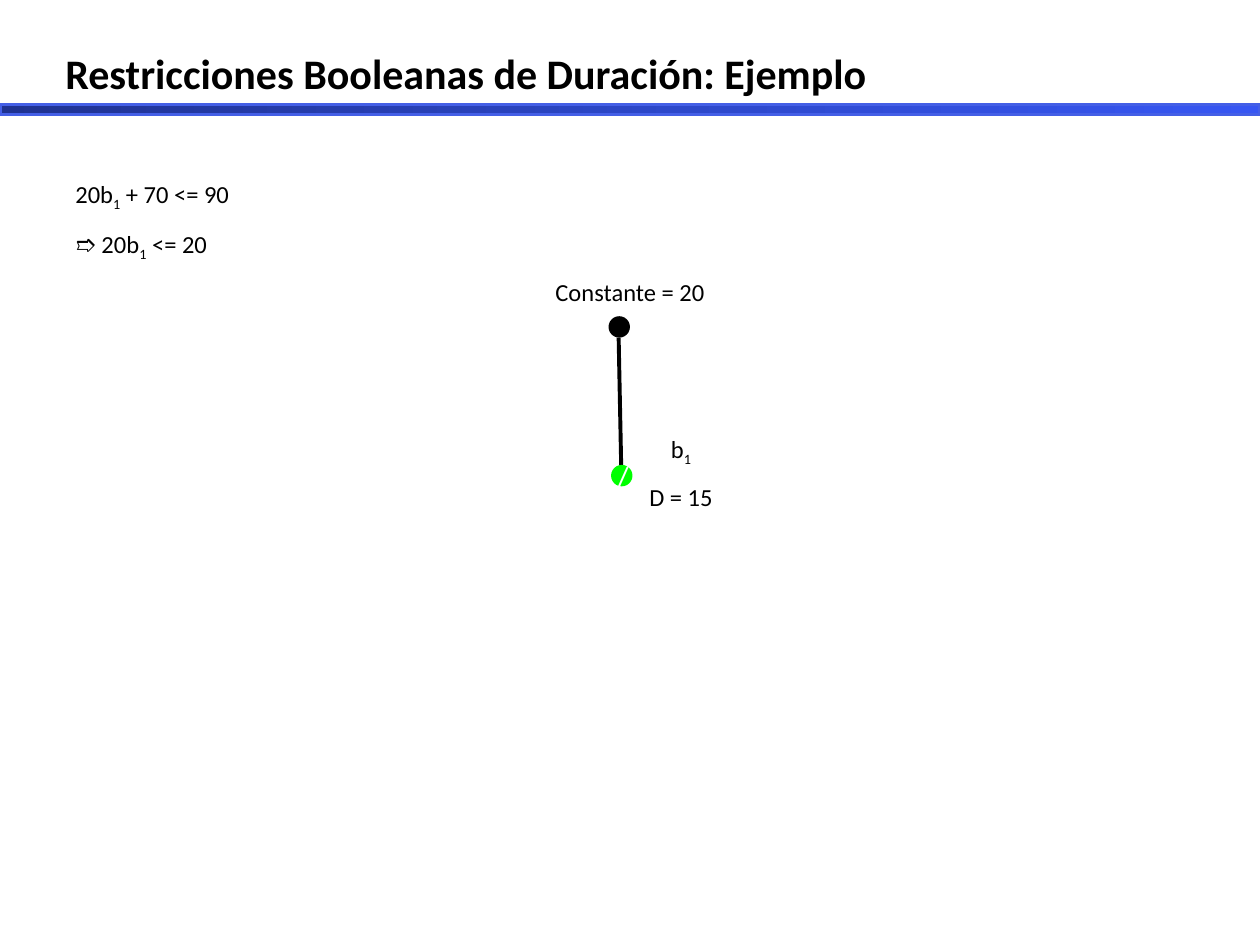
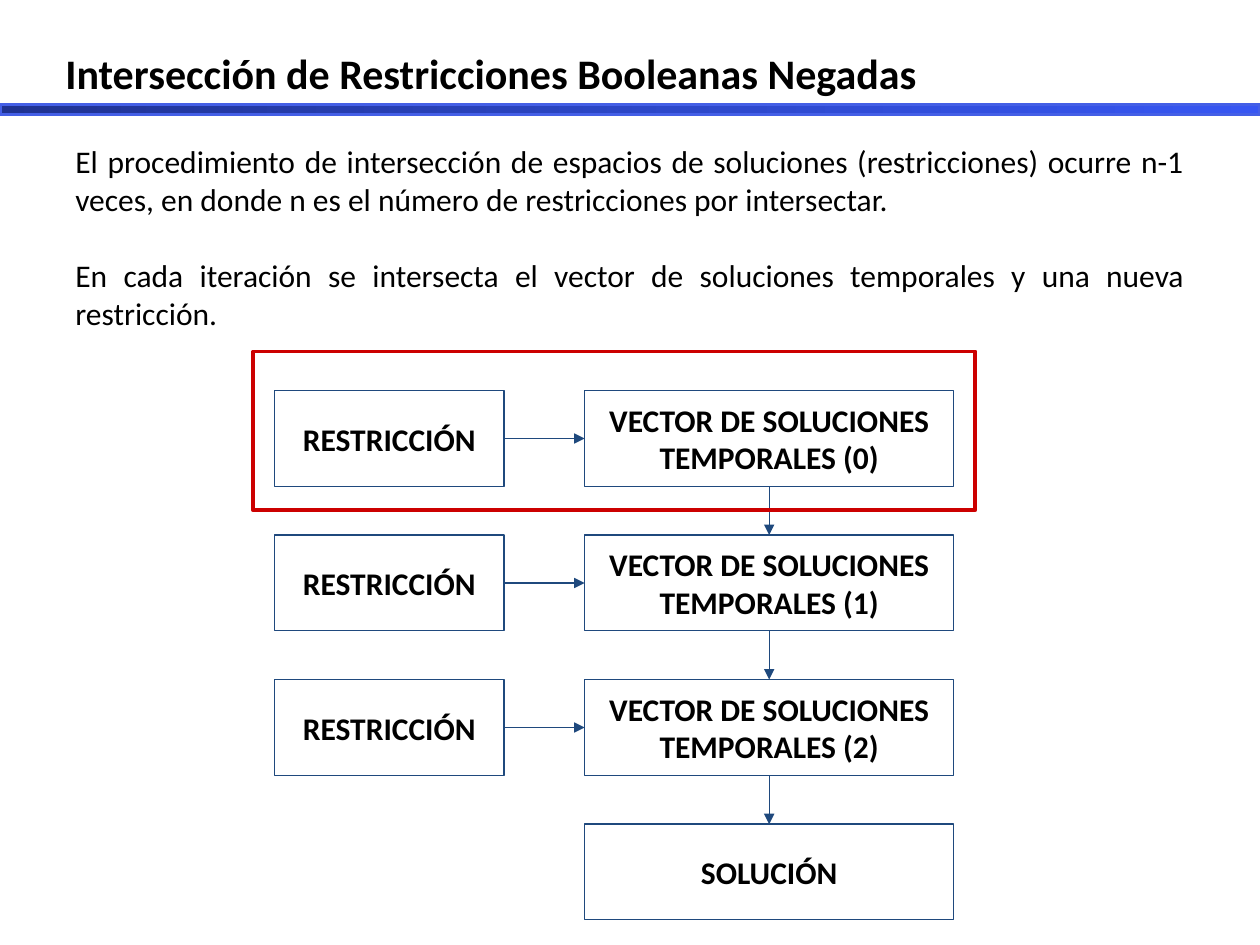
from copy import deepcopy
from dataclasses import dataclass

from lxml.etree import SubElement
from pptx import Presentation
from pptx.dml.color import RGBColor
from pptx.enum.shapes import MSO_CONNECTOR, MSO_SHAPE
from pptx.enum.text import MSO_ANCHOR, PP_ALIGN
from pptx.oxml.ns import qn
from pptx.util import Inches, Pt


@dataclass(frozen=True)
class Theme:
    font: str = "Calibri"
    ink: str = "000000"
    white: str = "FFFFFF"
    green: str = "00FF00"
    navy: str = "1F497D"
    red: str = "CC0000"
    band: tuple = ((0, "1F3291"), (0.54, "2D48CA"), (1, "3756F2"))
    band_edge: str = "445FE6"
    title: int = 24
    body: int = 18
    note: int = 14
    thin: float = 0.75
    medium: float = 2
    thick: float = 2.25


THEME = Theme()
WIDTH, HEIGHT = Inches(10), Inches(7.5)
COLUMNS = 100
CELL = WIDTH // COLUMNS
TOP, LEFT, BOTTOM, RIGHT = range(4)


def grid(*cells):
    return [round(n * CELL) for n in cells]


def rgb(value):
    return RGBColor.from_string(value)


def write(s, lines, size, align, bold=False, color=THEME.ink, spacing=None, gap=0):
    tf = s.text_frame
    tf.word_wrap = True
    for i, line in enumerate(lines):
        p = tf.paragraphs[0] if i == 0 else tf.add_paragraph()
        p.alignment = align
        p.line_spacing = spacing
        if i:
            p.space_before = Pt(gap)
        for j, part in enumerate(line.split("_")):
            r = p.add_run()
            r.text = part
            r.font.name = THEME.font
            r.font.size = Pt(size)
            r.font.bold = bold
            r.font.color.rgb = rgb(color)
            if j % 2:
                r.font._element.set("baseline", "-25000")
    return tf


def add_text(slide, at, lines, size, align, **style):
    return write(slide.shapes.add_textbox(*grid(*at)), lines, size, align, **style)


def add_shape(slide, kind, at, fill=None, line=None, weight=THEME.thin):
    s = slide.shapes.add_shape(kind, *grid(*at))
    s.shadow.inherit = False
    if fill:
        s.fill.solid()
        s.fill.fore_color.rgb = rgb(fill)
    else:
        s.fill.background()
    if line:
        s.line.color.rgb = rgb(line)
        s.line.width = Pt(weight)
    else:
        s.line.fill.background()
    return s


def add_line(slide, ends, color, weight):
    s = slide.shapes.add_connector(MSO_CONNECTOR.STRAIGHT, *grid(*ends))
    s.line.color.rgb = rgb(color)
    s.line.width = Pt(weight)
    SubElement(s._element.spPr, qn("a:effectLst"))
    return s


def add_arrow(slide, start, start_side, end, end_side):
    s = add_line(slide, (0, 0, 0, 0), THEME.navy, THEME.thin)
    s.begin_connect(start, start_side)
    s.end_connect(end, end_side)
    SubElement(s.line._get_or_add_ln(), qn("a:tailEnd"), type="triangle")


def add_box(slide, at, label):
    s = add_shape(slide, MSO_SHAPE.RECTANGLE, at, line=THEME.navy)
    tf = write(s, [label], THEME.body, PP_ALIGN.CENTER, bold=True)
    tf.vertical_anchor = MSO_ANCHOR.MIDDLE
    tf.margin_left = tf.margin_right = tf.margin_top = tf.margin_bottom = CELL
    return s


def add_node(slide, x, y, fill):
    return add_shape(slide, MSO_SHAPE.OVAL, (x, y, 1.7, 1.7), fill)


def add_band(slide):
    s = add_shape(slide, MSO_SHAPE.RECTANGLE, (0, 8.3, COLUMNS, 0.8),
                  line=THEME.band_edge, weight=THEME.medium)
    s.fill.gradient()
    s.fill.gradient_angle = 0
    last = s._element.spPr.findall(".//" + qn("a:gs"))[-1]
    last.addnext(deepcopy(last))
    for stop, (position, color) in zip(s.fill.gradient_stops, THEME.band):
        stop.position = position
        stop.color.rgb = rgb(color)


def add_slide(prs, title):
    slide = prs.slides.add_slide(prs.slide_layouts[6])
    add_text(slide, (4.2, 3.3, 89.2, 5), [title], THEME.title,
             PP_ALIGN.JUSTIFY, bold=True)
    add_band(slide)
    return slide


def build_duration(prs):
    slide = add_slide(prs, "Restricciones Booleanas de Duración: Ejemplo")
    tf = add_text(slide, (5, 12.4, 90, 12.3),
                  ["20b_1_ + 70 <= 90", "➱ 20b_1_ <= 20", "Constante = 20"],
                  THEME.note, PP_ALIGN.LEFT, spacing=1.5)
    tf.paragraphs[-1].alignment = PP_ALIGN.CENTER
    add_node(slide, 48.3, 25.1, THEME.ink)
    add_line(slide, (49.1, 26.8, 49.3, 36.9), THEME.ink, THEME.thick)
    s = add_node(slide, 48.5, 36.9, THEME.green)
    tf = write(s, ["/"], THEME.body, PP_ALIGN.CENTER, color=THEME.white)
    tf.vertical_anchor = MSO_ANCHOR.MIDDLE
    add_text(slide, (50.1, 32.6, 7.9, 7.2), ["b_1", "D = 15"],
             THEME.note, PP_ALIGN.CENTER, spacing=1.5)


def build_intersection(prs):
    slide = add_slide(prs, "Intersección de Restricciones Booleanas Negadas")
    add_text(slide, (5, 10.8, 90, 61.4), [
        "El procedimiento de intersección de espacios de soluciones (restricciones) "
        "ocurre n-1 veces, en donde n es el número de restricciones por intersectar.",
        "En cada iteración se intersecta el vector de soluciones temporales y una "
        "nueva restricción.",
    ], THEME.body, PP_ALIGN.JUSTIFY, gap=22)

    first_row, row_step, box_height = 31, 11.47, 7.6
    vectors = [f"VECTOR DE SOLUCIONES TEMPORALES ({n})" for n in range(3)]
    previous = None
    for row, label in enumerate(vectors + ["SOLUCIÓN"]):
        y = first_row + row * row_step
        result = add_box(slide, (46.4, y, 29.3, box_height), label)
        if label in vectors:
            restriction = add_box(slide, (21.8, y, 18.2, box_height), "RESTRICCIÓN")
            add_arrow(slide, restriction, RIGHT, result, LEFT)
        if previous is not None:
            add_arrow(slide, previous, BOTTOM, result, TOP)
        previous = result
    add_shape(slide, MSO_SHAPE.RECTANGLE, (20.1, 27.9, 57.3, 12.6),
              line=THEME.red, weight=THEME.thick)


def main():
    prs = Presentation()
    prs.slide_width, prs.slide_height = WIDTH, HEIGHT
    build_duration(prs)
    build_intersection(prs)
    prs.save("out.pptx")


if __name__ == "__main__":
    main()
